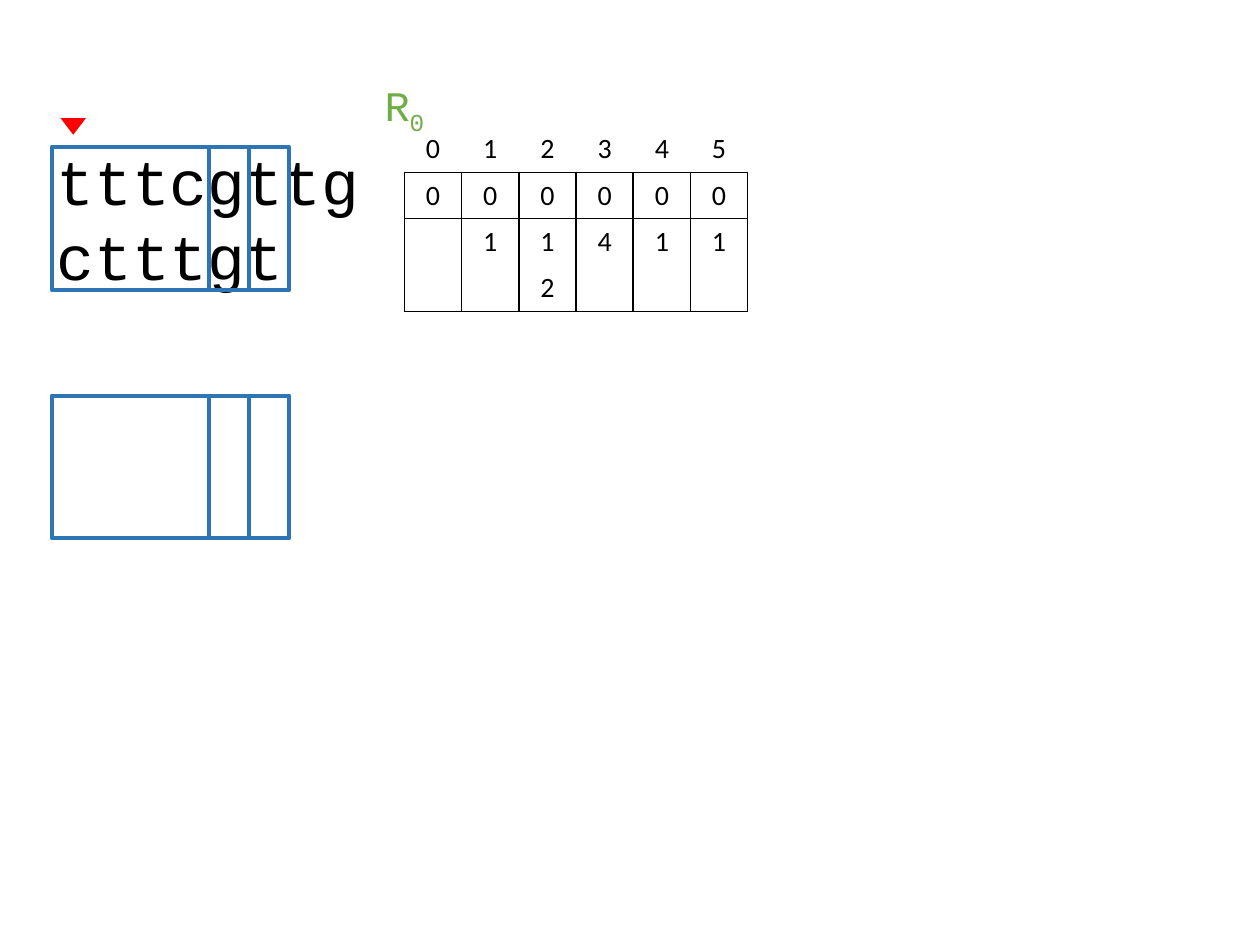
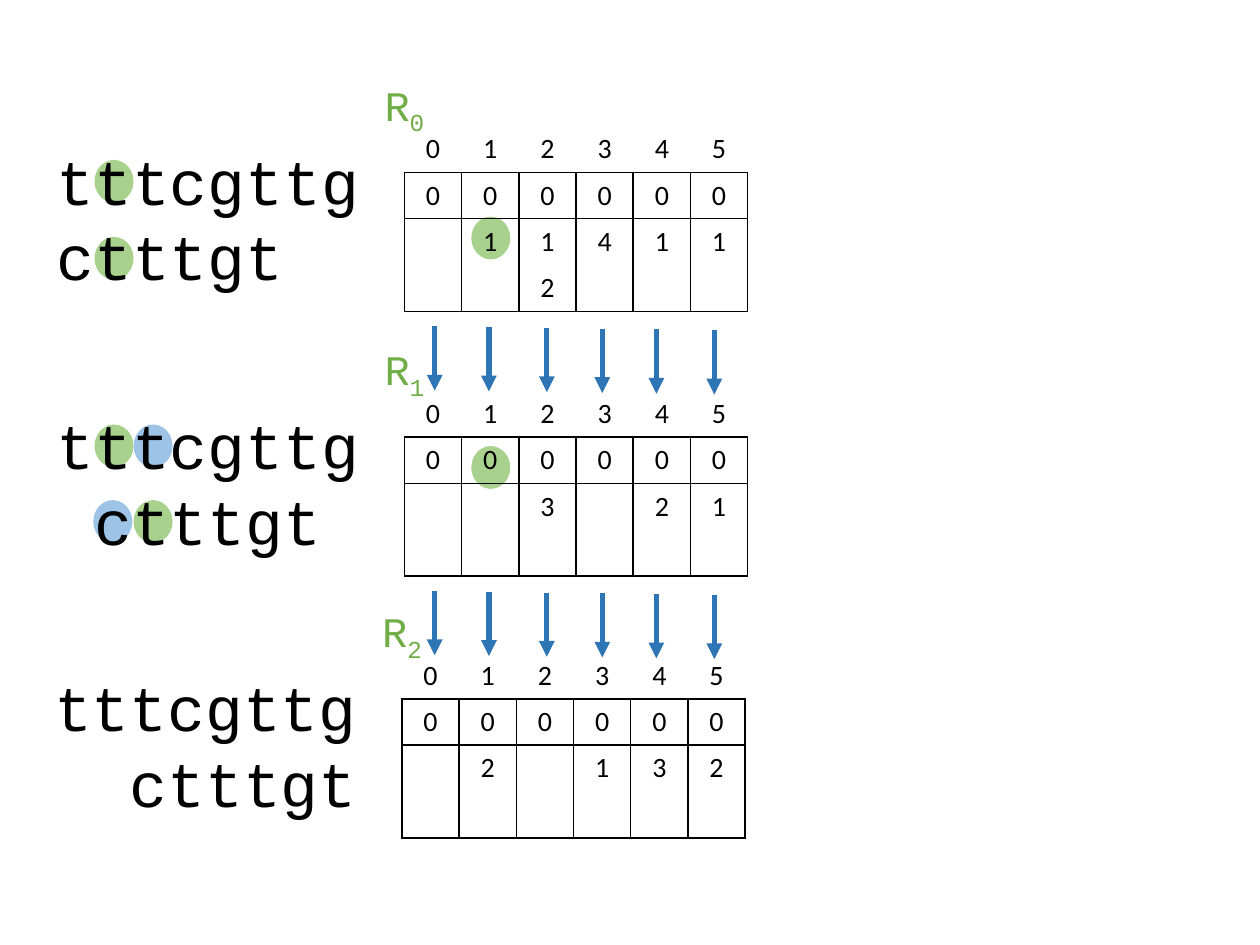
from lxml.etree import SubElement as Sub
from pptx import Presentation
from pptx.dml.color import RGBColor
from pptx.enum.shapes import MSO_CONNECTOR as Link, MSO_SHAPE as Kind
from pptx.enum.text import MSO_ANCHOR as Anchor, MSO_AUTO_SIZE as Fit, PP_ALIGN as Align
from pptx.oxml.ns import qn
from pptx.util import Pt

BLACK, RED, BLUE = "000000", "FF0000", "2E75B6"
GREEN, LIME, SKY = "70AD47", "A9D18E", "9DC3E6"
MONO, SANS = "Courier New", "Calibri"
COLS, ROWS = 6, 4
CELL_W, CELL_H = 32.7, 26.5
CHAR_W = 21.6
PANELS = [
    (25.2, 77.8, ["", "1", "1", "4", "1", "1"], ["", "", "2", "", "", ""]),
    (25.2, 229, ["", "", "3", "", "2", "1"], [""] * COLS),
    (23.8, 378.7, ["", "2", "", "1", "3", "2"], [""] * COLS),
]
SPOTS = [
    (54, 91.4, LIME), (54, 135.4, LIME), (269.3, 123.8, LIME), (269.3, 254.9, LIME),
    (54, 242.6, LIME), (76.3, 285.8, LIME), (76.3, 242.6, SKY), (53.3, 285.8, SKY),
]
ARROW_X = [248.4, 279.4, 312.5, 344.2, 375.1, 408.2]


def tint(code):
    """Turn a hex string into a colour."""
    return RGBColor.from_string(code)


def style(para, name, size, code):
    """Set the font of a paragraph."""
    font = para.font
    font.name, font.size = name, Pt(size)
    font.color.rgb = tint(code)


def add_box(slide, x, y, w, h):
    """Add an empty text box that does not wrap."""
    frame = slide.shapes.add_textbox(Pt(x), Pt(y), Pt(w), Pt(h)).text_frame
    frame.word_wrap = False
    frame.auto_size = Fit.SHAPE_TO_FIT_TEXT
    return frame


def add_pair(slide, x, y, shift):
    """Write both sequences, the lower one moved right by shift letters."""
    frame = add_box(slide, x, y, 189.4, 94.3)
    top, low = frame.paragraphs[0], frame.add_paragraph()
    top.text, low.text = "tttcgttg", "ctttgt"
    if shift:
        low._p.get_or_add_pPr().set("marL", str(Pt(shift * CHAR_W)))
    for para in (top, low):
        style(para, MONO, 36, BLACK)


def add_label(slide, x, y, index):
    """Write R with a subscript index."""
    para = add_box(slide, x, y, 38.9, 36).paragraphs[0]
    para.alignment = Align.CENTER
    para.add_run().text = "R"
    sub = para.add_run()
    sub.text = str(index)
    sub._r.get_or_add_rPr().set("baseline", "-25000")
    style(para, MONO, 24, GREEN)


def set_edges(cell, shown):
    """Draw the shown sides of a cell and clear the others."""
    props = cell._tc.get_or_add_tcPr()
    for side in "LRTB":
        line = Sub(props, qn(f"a:ln{side}"), w=str(Pt(1)))
        if side in shown:
            fill = Sub(line, qn("a:solidFill"))
            Sub(fill, qn("a:srgbClr"), val=BLACK)
        else:
            Sub(line, qn("a:noFill"))


def add_grid(slide, x, y, upper, lower):
    """Add the table of shifts under its column numbers."""
    frame = slide.shapes.add_table(
        ROWS, COLS, Pt(x), Pt(y), Pt(COLS * CELL_W), Pt(ROWS * CELL_H))
    table = frame.table
    table.first_row = table.horz_banding = False
    for col in table.columns:
        col.width = Pt(CELL_W)
    rows = [[str(n) for n in range(COLS)], ["0"] * COLS, upper, lower]
    for r, (words, edges) in enumerate(zip(rows, ["B", "LRTB", "LRT", "LRB"])):
        table.rows[r].height = Pt(CELL_H)
        for c, word in enumerate(words):
            cell = table.cell(r, c)
            cell.margin_top = cell.margin_bottom = 0
            cell.vertical_anchor = Anchor.MIDDLE
            set_edges(cell, edges)
            cell.fill.background()
            cell.text = word
            para = cell.text_frame.paragraphs[0]
            para.alignment = Align.CENTER
            style(para, SANS, 16, BLACK)


def add_panel(slide, index, shift):
    """Add sequences, table and label of one step."""
    x, y, upper, lower = PANELS[index]
    add_pair(slide, x, y, shift)
    add_grid(slide, x + 205.9, y - 5.8, upper, lower)
    add_label(slide, x + 186.5, y - 36, index)


def add_form(slide, kind, x, y, w, h, fill=None, line=None):
    """Add a plain shape with a fill or an outline."""
    form = slide.shapes.add_shape(kind, Pt(x), Pt(y), Pt(w), Pt(h))
    form.shadow.inherit = False
    if fill:
        form.fill.solid()
        form.fill.fore_color.rgb = tint(fill)
    else:
        form.fill.background()
    if line:
        form.line.color.rgb = tint(line)
        form.line.width = Pt(2.25)
    else:
        form.line.fill.background()


def add_arrow(slide, x, y):
    """Add an arrow that points down."""
    arrow = slide.shapes.add_connector(
        Link.STRAIGHT, Pt(x), Pt(y), Pt(x), Pt(y + 36.7))
    arrow.line.color.rgb = tint(BLUE)
    arrow.line.width = Pt(3)
    Sub(arrow.line._get_or_add_ln(), qn("a:tailEnd"), type="triangle")
    Sub(arrow._element.spPr, qn("a:effectLst"))


def draw_start(slide):
    """Draw the first step with its blocks and marker."""
    add_panel(slide, 0, 0)
    for y in (84.2, 226.1):
        for x, w in ((29.5, 90), (119.3, 23), (142.4, 23)):
            add_form(slide, Kind.RECTANGLE, x, y, w, 81.4, line=BLUE)
    add_form(slide, Kind.FLOWCHART_MERGE, 34.6, 67.5, 14.5, 9.5, fill=RED)


def draw_steps(slide):
    """Draw all steps with matching spots and arrows."""
    for x, y, code in SPOTS:
        add_form(slide, Kind.OVAL, x, y, 22.3, 24.5, fill=code)
    for index in range(len(PANELS)):
        add_panel(slide, index, index)
    for top in (186.5, 337.7):
        for i, x in enumerate(ARROW_X):
            add_arrow(slide, x, top + i * 0.45)


def main():
    """Build and save both slides."""
    deck = Presentation()
    deck.slide_width, deck.slide_height = Pt(720), Pt(540)
    for draw in (draw_start, draw_steps):
        draw(deck.slides.add_slide(deck.slide_layouts[6]))
    deck.save("out.pptx")


if __name__ == "__main__":
    main()
